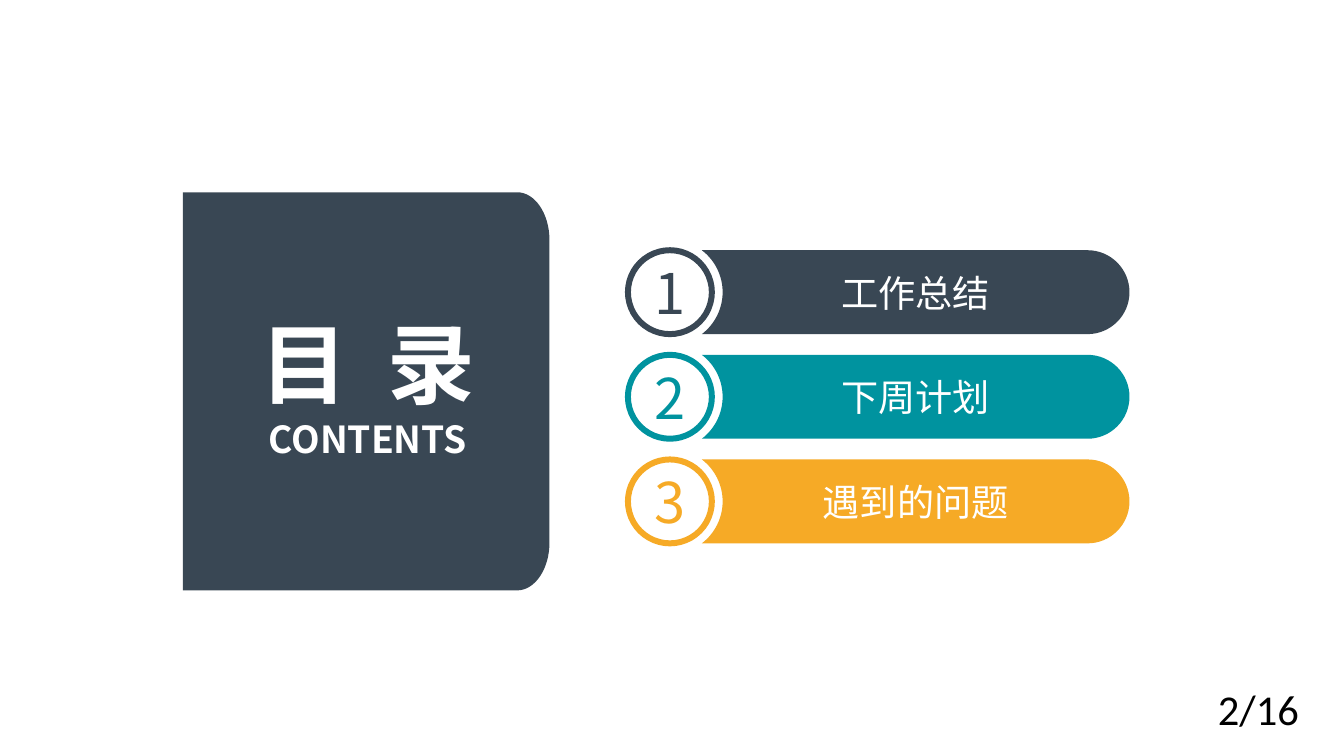
"""Build a contents slide with a title panel and three numbered bars."""
from math import asin, cos, pi, sin, tan

from lxml import etree
from pptx import Presentation
from pptx.dml.color import RGBColor
from pptx.enum.shapes import MSO_SHAPE
from pptx.enum.text import MSO_ANCHOR, PP_ALIGN
from pptx.oxml.ns import qn
from pptx.util import Cm, Pt

OVAL = MSO_SHAPE.OVAL
TOP, MIDDLE = MSO_ANCHOR.TOP, MSO_ANCHOR.MIDDLE
LEFT, CENTER = PP_ALIGN.LEFT, PP_ALIGN.CENTER

COLORS = {"slate": "394754", "teal": "00939F", "amber": "F6AA26",
          "white": "FFFFFF", "black": "000000"}
CJK = "Noto Sans CJK SC"

ITEMS = [("工作总结", "slate"), ("下周计划", "teal"), ("遇到的问题", "amber")]

FORMATS = {
    "title": {"size": Pt(66), "bold": True, "name": CJK},
    "subtitle": {"size": Pt(28), "bold": True, "name": CJK},
    "item": {"size": Pt(28), "name": CJK},
    "number": {"size": Pt(42.2), "name": CJK},
    "page": {"size": Pt(32), "name": "Calibri"},
}

LABELS = [
    ("目  录", "title", "white", (5.79, 8.23, 7.98, 2.82)),
    ("CONTENTS", "subtitle", "white", (5.82, 11.05, 7.9, 1.19)),
]
PAGE = ("2/16", "page", "black", (32.11, 18.03, 3.6, 1.55))

PANEL = (4.86, 5.11, 14.6, 15.69)
CORNER = (0.86, 1.27)
BAR_RIGHT, BAR_TOP, BAR_HEIGHT, BAR_PITCH = 30.01, 6.65, 2.23, 2.78
DISC_X, NOTCH_RADIUS = 17.8, 1.4


def rgb(color):
    return RGBColor.from_string(COLORS[color])


def arc(cx, cy, rx, ry, start, end):
    """Return a line to the arc's start and one Bézier curve to its end."""
    k = 4 / 3 * tan((end - start) / 4)

    def spot(angle, pull):
        return (cx + rx * (cos(angle) - pull * sin(angle)),
                cy + ry * (sin(angle) + pull * cos(angle)))

    return [[spot(start, 0)], [spot(start, k), spot(end, -k), spot(end, 0)]]


def panel_segments():
    left, top, right, bottom = PANEL
    rx, ry = CORNER
    return [[(left, top)],
            *arc(right - rx, top + ry, rx, ry, -pi / 2, 0),
            *arc(right - rx, bottom - ry, rx, ry, 0, pi / 2),
            [(left, bottom)]]


def bar_segments(cy):
    radius = BAR_HEIGHT / 2
    cap = (BAR_RIGHT - radius, cy, radius, radius)
    notch = (DISC_X, cy, NOTCH_RADIUS, NOTCH_RADIUS)
    sweep = asin(radius / NOTCH_RADIUS)
    return [*arc(*cap, -pi / 2, 0), *arc(*cap, 0, pi / 2)[1:],
            *arc(*notch, sweep, 0), *arc(*notch, 0, -sweep)[1:]]


def paint(sp, fill, line=None):
    sp.shadow.inherit = False
    sp.fill.solid()
    sp.fill.fore_color.rgb = rgb(fill)
    if line:
        sp.line.color.rgb = rgb(line)
        sp.line.width = Pt(4.5)
    else:
        sp.line.fill.background()


def add_outline(s, segments, fill):
    (x, y), *rest = [(Cm(px), Cm(py)) for seg in segments for px, py in seg]
    builder = s.shapes.build_freeform(x, y)
    builder.add_line_segments(rest, close=True)
    sp = builder.convert_to_shape()
    steps = iter(list(sp._element.iter(qn("a:lnTo"))))
    for seg in segments[1:]:
        first, *others = [next(steps) for _ in seg]
        if others:
            first.tag = qn("a:cubicBezTo")
        for step in others:
            first.append(step[0])
            step.getparent().remove(step)
    paint(sp, fill)
    return sp


def write(sp, text, style, color, align=CENTER, anchor=MIDDLE, insets=(0, 0)):
    tf = sp.text_frame
    across, down = map(Cm, insets)
    frame = {"word_wrap": True, "vertical_anchor": anchor,
             "margin_left": across, "margin_right": across,
             "margin_top": down, "margin_bottom": down}
    for key, value in frame.items():
        setattr(tf, key, value)
    p = tf.paragraphs[0]
    p.alignment = align
    r = p.add_run()
    r.text = text
    r.font.color.rgb = rgb(color)
    for key, value in FORMATS[style].items():
        setattr(r.font, key, value)
    ea = etree.SubElement(r._r.get_or_add_rPr(), qn("a:ea"))
    ea.set("typeface", FORMATS[style]["name"])


def add_label(s, text, style, color, box, **layout):
    sp = s.shapes.add_textbox(*map(Cm, box))
    write(sp, text, style, color, **layout)


def add_item(s, index, text, color):
    top = BAR_TOP + index * BAR_PITCH
    radius = BAR_HEIGHT / 2
    bar = add_outline(s, bar_segments(top + radius), color)
    write(bar, text, "item", "white")
    disc = s.shapes.add_shape(OVAL, Cm(DISC_X - radius), Cm(top),
                              Cm(BAR_HEIGHT), Cm(BAR_HEIGHT))
    paint(disc, "white", color)
    write(disc, str(index + 1), "number", color)


def main():
    prs = Presentation()
    prs.slide_width, prs.slide_height = Cm(35.71), Cm(20.09)
    s = prs.slides.add_slide(prs.slide_layouts[6])
    add_label(s, *PAGE, align=LEFT, anchor=TOP, insets=(0.25, 0.13))
    add_outline(s, panel_segments(), "slate")
    for index, (text, color) in enumerate(ITEMS):
        add_item(s, index, text, color)
    for label in LABELS:
        add_label(s, *label)
    prs.save("out.pptx")


if __name__ == "__main__":
    main()
